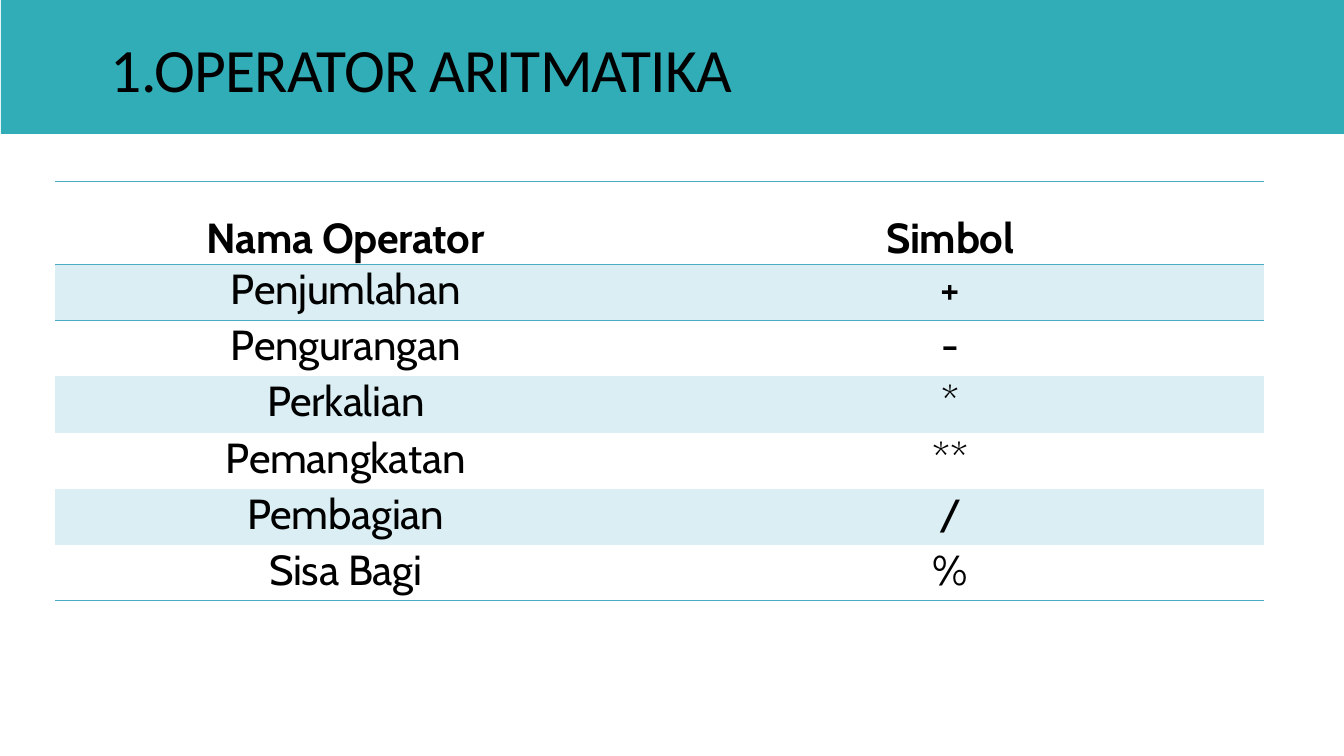
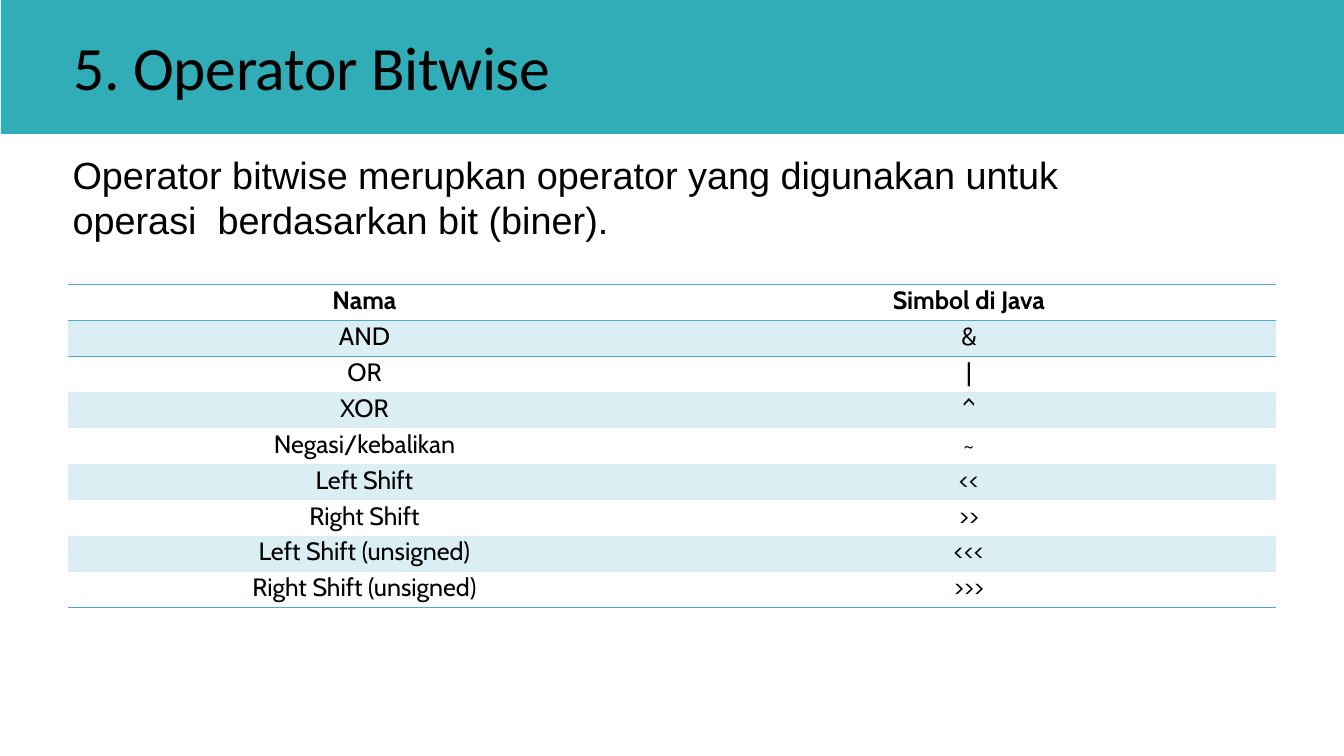
from dataclasses import dataclass

import pptx
import pptx.dml.color
import pptx.enum.shapes
import pptx.enum.text
import pptx.oxml
import pptx.oxml.ns
import pptx.util
from pptx.util import Inches, Pt

COLORS = {"band": "31ADB8", "rule": "4AACC5", "stripe": "DAEEF3", "text": "000000"}
FORMATS = {
    "title": {"name": "Calibri", "size": Pt(44), "bold": False},
    "body": {"name": "Arial", "size": Pt(27), "bold": False},
}
PLAIN_TABLE_STYLE = "{2D5ABB26-0587-4C30-8999-92F81FD0307C}"
ANCHOR = pptx.enum.text.MSO_ANCHOR


@dataclass
class TextBlock:
    text: str
    left: float
    top: float
    width: float
    height: float
    style: str
    spacing: float = 0
    anchor: ANCHOR = ANCHOR.TOP


@dataclass
class OperatorTable:
    left: float
    top: float
    height: float
    column_widths: tuple[float, float]
    header_height: float
    font_size: float
    spacing: float
    space_before: float
    margin_top: float
    margin_right: float
    rows: list[tuple[str, str]]
    header_line_spacing: float | None = None


@dataclass
class OperatorSlide:
    texts: list[TextBlock]
    table: OperatorTable


SLIDES = [
    OperatorSlide(
        [TextBlock("1.OPERATOR ARITMATIKA", 1.1, 0.29, 7.71, 0.75, "title", -0.75, ANCHOR.MIDDLE)],
        OperatorTable(
            0.55, 1.8, 4.16, (6.37, 5.62), 0.82, 30, -0.2, 0.1, 0, 0.61,
            [
                ("Nama Operator", "Simbol"),
                ("Penjumlahan", "+"),
                ("Pengurangan", "-"),
                ("Perkalian", "*"),
                ("Pemangkatan", "**"),
                ("Pembagian", "/"),
                ("Sisa Bagi", "%"),
            ],
            header_line_spacing=59.2,
        ),
    ),
    OperatorSlide(
        [
            TextBlock("5. Operator Bitwise", 0.73, -0.1, 4.93, 1.49, "title", -0.25, ANCHOR.MIDDLE),
            TextBlock(
                "Operator bitwise merupkan operator yang digunakan untuk "
                "operasi  berdasarkan bit (biner).",
                0.72, 1.49, 11, 0.92, "body",
            ),
        ],
        OperatorTable(
            0.67, 2.82, 3.21, (6.17, 5.82), 0.36, 17.9, 0, 1.6, 0.01, 0.28,
            [
                ("Nama", "Simbol di Java"),
                ("AND", "&"),
                ("OR", "|"),
                ("XOR", "^"),
                ("Negasi/kebalikan", "~"),
                ("Left Shift", "<<"),
                ("Right Shift", ">>"),
                ("Left Shift (unsigned)", "<<<"),
                ("Right Shift (unsigned)", ">>>"),
            ],
        ),
    ),
]


def rgb(name: str) -> pptx.dml.color.RGBColor:
    return pptx.dml.color.RGBColor.from_string(COLORS[name])


def set_attributes(target, values: dict) -> None:
    for name, value in values.items():
        setattr(target, name, value)


def write_run(paragraph, text: str, font_format: dict, spacing: float) -> None:
    """Add a run; spacing is the tracking between letters in points."""
    run = paragraph.add_run()
    run.text = text
    set_attributes(run.font, font_format)
    run.font.color.rgb = rgb("text")
    if spacing:
        run.font._element.set("spc", str(round(spacing * 100)))


def add_band(slide) -> None:
    band = slide.shapes.add_shape(
        pptx.enum.shapes.MSO_SHAPE.RECTANGLE, Inches(0.01), 0, Inches(13.32), Inches(1.33)
    )
    band.shadow.inherit = False
    band.fill.solid()
    band.fill.fore_color.rgb = rgb("band")
    band.line.fill.background()


def add_text(slide, block: TextBlock) -> None:
    box = slide.shapes.add_textbox(
        Inches(block.left), Inches(block.top), Inches(block.width), Inches(block.height)
    )
    set_attributes(box.text_frame, {
        "word_wrap": True, "vertical_anchor": block.anchor,
        "margin_left": 0, "margin_right": 0, "margin_top": Inches(0.01), "margin_bottom": 0,
    })
    paragraph = box.text_frame.paragraphs[0]
    paragraph.space_before = Pt(1)
    write_run(paragraph, block.text, FORMATS[block.style], block.spacing)


def add_rule(cell, side: str) -> None:
    """Draw a border on one side of a cell: T for top, B for bottom."""
    border = pptx.oxml.parse_xml(
        f'<a:ln{side} {pptx.oxml.ns.nsdecls("a")} w="12700"><a:solidFill>'
        f'<a:srgbClr val="{COLORS["rule"]}"/></a:solidFill></a:ln{side}>'
    )
    properties = cell._tc.get_or_add_tcPr()
    top_borders = properties.findall(pptx.oxml.ns.qn("a:lnT"))
    properties.insert(len(top_borders), border)


def add_operator_table(slide, content: OperatorTable) -> None:
    row_count = len(content.rows)
    body_row_height = (content.height - content.header_height) / (row_count - 1)
    frame = slide.shapes.add_table(
        row_count, 2, Inches(content.left), Inches(content.top),
        Inches(sum(content.column_widths)), Inches(content.height),
    )
    table = frame.table
    set_attributes(table, {"first_row": False, "horz_banding": False})
    table._tbl.tblPr.find(pptx.oxml.ns.qn("a:tableStyleId")).text = PLAIN_TABLE_STYLE
    for column, width in zip(table.columns, content.column_widths):
        column.width = Inches(width)

    for row_index, texts in enumerate(content.rows):
        is_header = row_index == 0
        row_height = content.header_height if is_header else body_row_height
        table.rows[row_index].height = Inches(row_height)
        font_format = {"name": "Cabin", "size": Pt(content.font_size), "bold": is_header}
        for column_index, text in enumerate(texts):
            cell = table.cell(row_index, column_index)
            set_attributes(cell, {
                "margin_left": 0, "margin_right": Inches(content.margin_right),
                "margin_top": Inches(content.margin_top), "margin_bottom": 0,
            })
            if row_index % 2:
                cell.fill.solid()
                cell.fill.fore_color.rgb = rgb("stripe")
            else:
                cell.fill.background()
            if row_index <= 1:
                add_rule(cell, "T")
            if row_index in (0, row_count - 1):
                add_rule(cell, "B")
            paragraph = cell.text_frame.paragraphs[0]
            paragraph.alignment = pptx.enum.text.PP_ALIGN.CENTER
            if is_header and content.header_line_spacing:
                paragraph.line_spacing = Pt(content.header_line_spacing)
            else:
                paragraph.space_before = Pt(content.space_before)
            write_run(paragraph, text, font_format, content.spacing)


def main() -> None:
    presentation = pptx.Presentation()
    presentation.slide_width = Inches(13.33)
    presentation.slide_height = Inches(7.5)
    for content in SLIDES:
        slide = presentation.slides.add_slide(presentation.slide_layouts[6])
        add_band(slide)
        for block in content.texts:
            add_text(slide, block)
        add_operator_table(slide, content.table)
    presentation.save("out.pptx")


if __name__ == "__main__":
    main()
